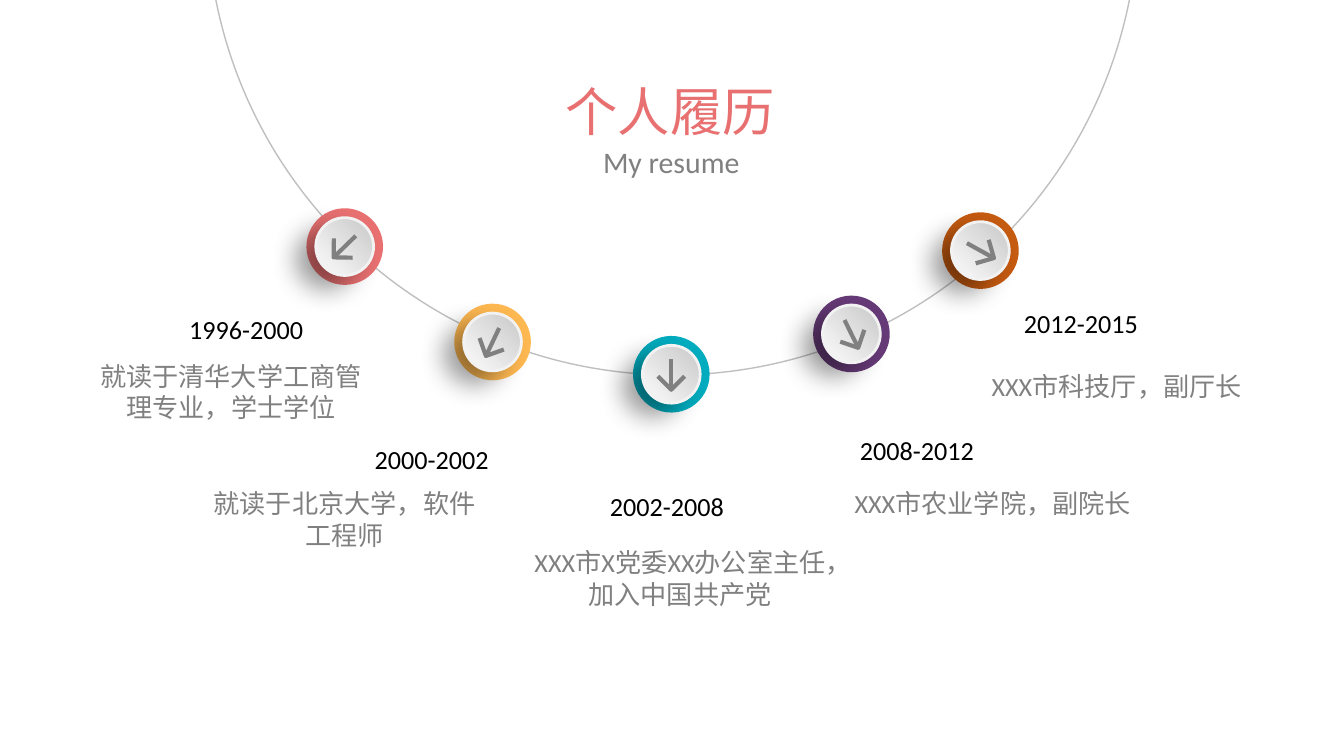
from dataclasses import dataclass
from math import cos, radians, sin

from lxml import etree
from pptx import Presentation
from pptx import util as u
from pptx.dml.color import RGBColor
from pptx.enum import shapes, text
from pptx.oxml.ns import qn


@dataclass(frozen=True)
class Theme:
    font: str = "Calibri"
    title_size: int = 28
    subtitle_size: int = 16
    body_size: int = 14
    coral: str = "E87071"
    amber: str = "FEB851"
    teal: str = "01ACBE"
    purple: str = "663A77"
    orange: str = "C55A11"
    gray: str = "808080"
    silver: str = "BFBFBF"
    pale: str = "F2F2F2"
    black: str = "000000"


theme = Theme()
PX = u.Inches(1) // 100
RING, DISC, TILT = 57, 43, 29
SHAFT, BARB = 11.5, 10


def px(*lengths):
    return [round(length * PX) for length in lengths]


def write(shape, content, size, color, align=text.PP_ALIGN.LEFT, wrap=True):
    frame = shape.text_frame
    frame.text = content
    frame.word_wrap = wrap
    frame.auto_size = text.MSO_AUTO_SIZE.SHAPE_TO_FIT_TEXT
    frame.vertical_anchor = text.MSO_ANCHOR.TOP
    paragraph = frame.paragraphs[0]
    paragraph.alignment = align
    font = paragraph.runs[0].font
    font.name = theme.font
    font.size = u.Pt(size)
    font.color.rgb = RGBColor.from_string(color)


presentation = Presentation()
presentation.slide_width = 1000 * PX
presentation.slide_height = presentation.slide_width * 9 // 16
slide = presentation.slides.add_slide(presentation.slide_layouts[5])

title = slide.shapes.title
title.left, title.top, title.width, title.height = px(411, 54, 177, 57)
write(title, "个人履历", theme.title_size, theme.coral, wrap=False)
subtitle = slide.shapes.add_textbox(*px(413, 102, 173, 37))
write(subtitle, "My resume", theme.subtitle_size, theme.gray, text.PP_ALIGN.CENTER)

arc = slide.shapes.add_shape(shapes.MSO_SHAPE.OVAL, *px(154, -414, 693, 693))
arc.shadow.inherit = False
arc.fill.background()
arc.line.color.rgb = RGBColor.from_string(theme.silver)
arc.line.width = u.Pt(0.75)

markers = [
    (729.5, 186.5, 29, theme.orange),
    (633.5, 248.5, 63.8, theme.purple),
    (499.5, 278.5, 90, theme.teal),
    (366.5, 254.5, 115.4, theme.amber),
    (256.5, 183.5, 135.9, theme.coral),
]
for x, y, angle, color in markers:
    group = slide.shapes.add_group_shape().shapes

    ring, disc = [
        group.add_shape(
            shapes.MSO_SHAPE.OVAL, *px(x - size / 2, y - size / 2, size, size)
        )
        for size in (RING, DISC)
    ]
    for shape in (ring, disc):
        shape.rotation = TILT
        shape.shadow.inherit = False
    ring.fill.solid()
    ring.fill.fore_color.rgb = RGBColor.from_string(color)
    ring.line.fill.background()

    disc.fill.gradient()
    disc.fill.gradient_angle = 45
    disc.element.spPr.find(qn("a:gradFill")).set("rotWithShape", "0")
    stops = [(0.27, theme.pale), (1, theme.silver)]
    for stop, (position, shade) in zip(disc.fill.gradient_stops, stops):
        stop.position = position
        stop.color.rgb = RGBColor.from_string(shade)
    disc.line.color.rgb = RGBColor.from_string(theme.pale)
    disc.line.width = u.Pt(1.5)
    shadow = etree.SubElement(
        disc.element.spPr.find(qn("a:effectLst")),
        qn("a:outerShdw"),
        blurRad=str(u.Pt(14)),
        dist=str(u.Pt(12)),
        dir=str(147 * 60000),
        algn="ctr",
        rotWithShape="0",
    )
    shadow_color = etree.SubElement(shadow, qn("a:srgbClr"), val=theme.black)
    etree.SubElement(shadow_color, qn("a:alpha"), val="40000")

    dx, dy = cos(radians(angle)), sin(radians(angle))
    tip = x + SHAFT * dx, y + SHAFT * dy
    tail = x - SHAFT * dx, y - SHAFT * dy
    barbs = [
        (tip[0] - BARB * (dx + side * dy), tip[1] - BARB * (dy - side * dx))
        for side in (-1, 1)
    ]
    builder = group.build_freeform(*px(*barbs[0]))
    builder.add_line_segments([px(*tip), px(*barbs[1])], close=False)
    head = builder.convert_to_shape()
    head.shadow.inherit = False
    head.fill.background()
    shaft = group.add_connector(shapes.MSO_CONNECTOR.STRAIGHT, *px(*tail, *tip))
    etree.SubElement(shaft.element.spPr, qn("a:effectLst"))
    for stroke in (head, shaft):
        stroke.line.color.rgb = RGBColor.from_string(theme.gray)
        stroke.line.width = u.Pt(2.25)

center, left = text.PP_ALIGN.CENTER, text.PP_ALIGN.LEFT
entries = [
    ("1996-2000", 131, 228, "就读于清华大学工商管理专业，学士学位", (64, 263, 216, 57), center),
    ("2000-2002", 269, 325, "就读于北京大学，软件工程师", (143, 358, 227, 57), center),
    ("2002-2008", 444, 360, "XXX市X党委XX办公室主任，加入中国共产党", (380, 402, 252, 57), center),
    ("2008-2012", 630, 318, "XXX市农业学院，副院长", (626, 358, 291, 34), left),
    ("2012-2015", 752, 224, "XXX市科技厅，副厅长", (728, 271, 244, 34), left),
]
for years, x, y, description, box, align in entries:
    period = slide.shapes.add_textbox(*px(x, y, 114, 34))
    write(period, years, theme.body_size, theme.black, wrap=False)
    detail = slide.shapes.add_textbox(*px(*box))
    write(detail, description, theme.body_size, theme.gray, align)

presentation.save("out.pptx")
